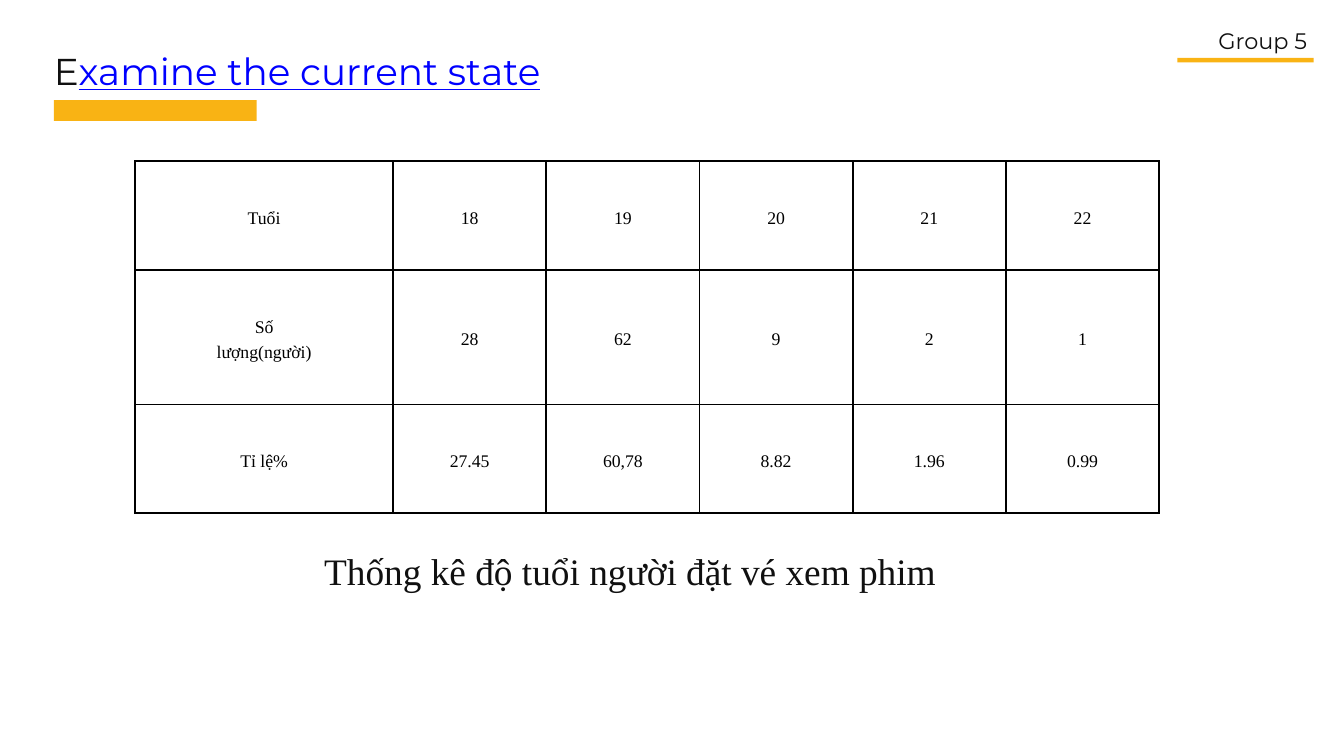
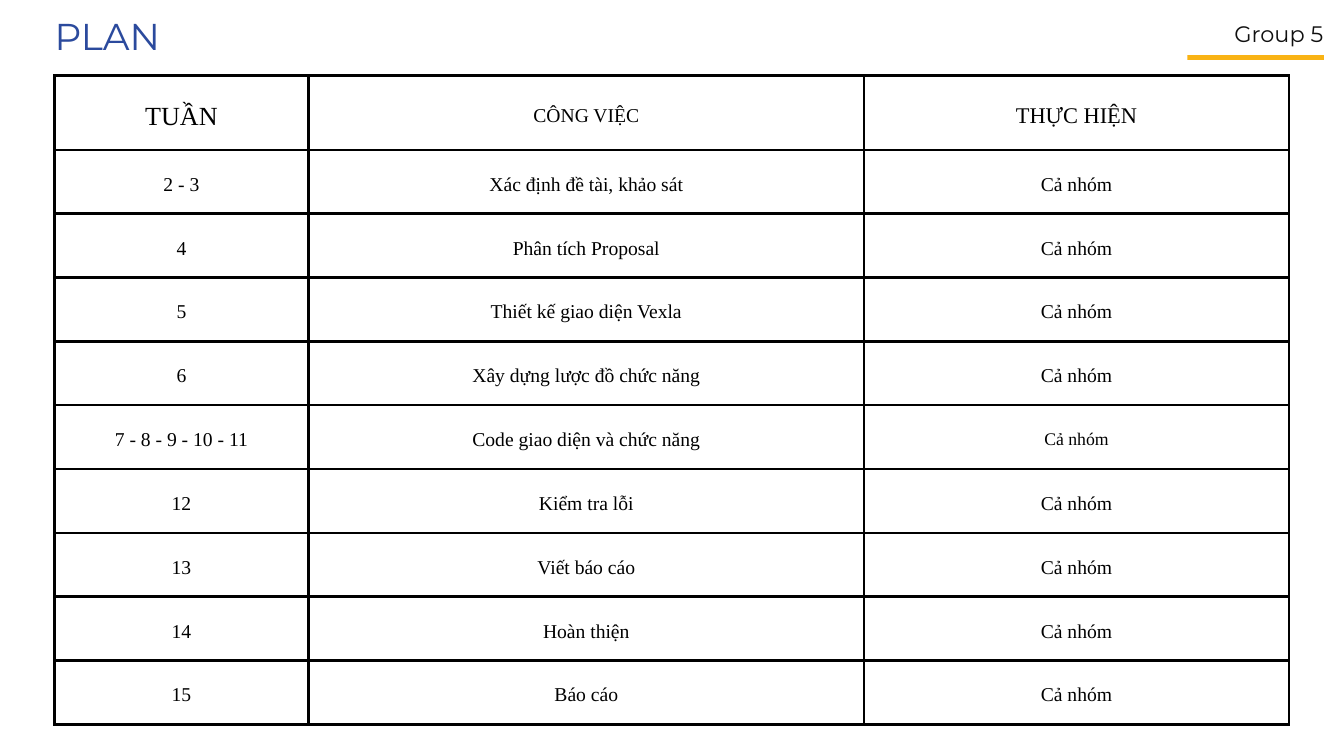
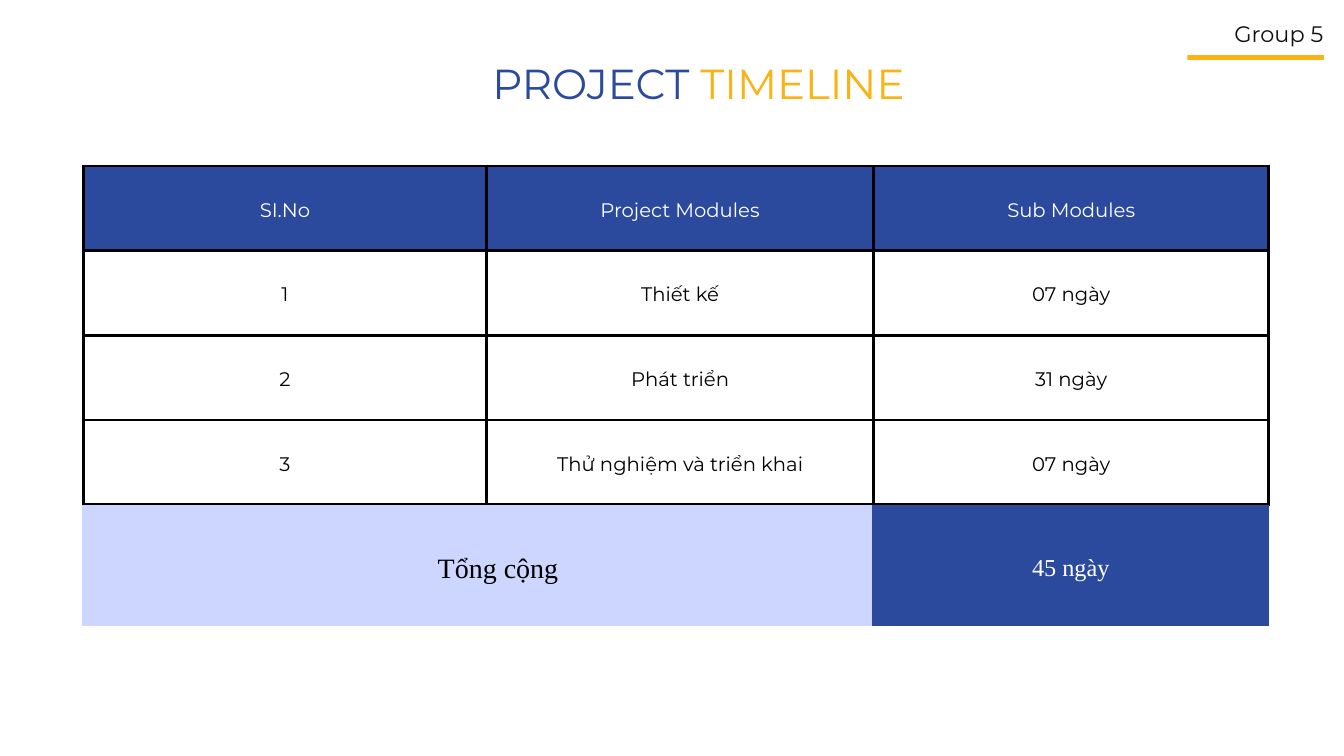
"""Build three slides on a ticket survey, the work plan and the timeline."""
from lxml import etree
from pptx import Presentation
from pptx.dml.color import RGBColor
from pptx.enum.shapes import MSO_SHAPE
from pptx.enum.text import MSO_ANCHOR, PP_ALIGN
from pptx.oxml.ns import qn
from pptx.util import Inches, Pt

RECT = MSO_SHAPE.RECTANGLE
MID = MSO_ANCHOR.MIDDLE
LEFT, RIGHT = PP_ALIGN.LEFT, PP_ALIGN.RIGHT
MIDST, EVEN = PP_ALIGN.CENTER, PP_ALIGN.JUSTIFY
SANS, SERIF = "Montserrat", "Times New Roman"
GOLD, BLUE, PALE, LINK = "F9B314", "2B4A9D", "CDD6FF", "0000FF"
INK, BLACK, WHITE = "101010", "000000", "FFFFFF"
hue = RGBColor.from_string

deck = Presentation()
deck.slide_width, deck.slide_height = Inches(20), Inches(11.25)
unit = deck.slide_width // 20


def write(frame, text, font=SANS, size=21, color=INK, align=LEFT, line=None, join=False):
    for i, part in enumerate(text.split("\n")):
        para = frame.add_paragraph() if i else frame.paragraphs[-1]
        run = para.add_run()
        run.text = part
        run.font.name, run.font.size = font, Pt(size)
        run.font.color.rgb = hue(color)
        run.font.underline = line
        if not join:
            para.alignment = align
            para.line_spacing = Pt(round(size * 1.4, 1))


def grid(page, x, y, cols, rows, data, font=SERIF, size=21, edge=BLACK, width=3, odd={}):
    spot = [int(n * unit) for n in (x, y, sum(cols), sum(rows))]
    table = page.shapes.add_table(len(rows), len(cols), *spot).table
    table.first_row = table.horz_banding = False
    for col, wide in zip(table.columns, cols):
        col.width = int(wide * unit)
    for r, (row, tall) in enumerate(zip(table.rows, rows)):
        row.height = int(tall * unit)
        for c, text in enumerate(data[r]):
            look = {"font": font, "size": size, "color": BLACK, "align": MIDST}
            look.update(odd.get((r, c), {}))
            fill, rim = look.pop("fill", None), look.pop("edge", edge)
            cell = table.cell(r, c)
            cell.vertical_anchor = MID
            cell.margin_left = cell.margin_right = int(0.21 * unit)
            cell.margin_top = cell.margin_bottom = int(0.21 * unit)
            props = cell._tc.get_or_add_tcPr()
            for side in "LRTB":
                ln = etree.SubElement(props, qn(f"a:ln{side}"), w=str(Pt(width)))
                paint = etree.SubElement(ln, qn("a:solidFill"))
                etree.SubElement(paint, qn("a:srgbClr"), val=rim)
            if fill:
                cell.fill.solid()
                cell.fill.fore_color.rgb = hue(fill)
            else:
                cell.fill.background()
            if text:
                write(cell.text_frame, text, **look)


state, plan, time = pages = [deck.slides.add_slide(deck.slide_layouts[6]) for _ in range(3)]

bars = [(state, 17.52, 0.86, 2.03, 0.07), (state, 0.8, 1.49, 3.02, 0.31)]
bars += [(page, 17.67, 0.82, 2.03, 0.07) for page in (plan, time)]
for page, *spot in bars:
    bar = page.shapes.add_shape(RECT, *[int(n * unit) for n in spot])
    bar.shadow.inherit = False
    bar.fill.solid()
    bar.fill.fore_color.rgb = hue(GOLD)
    bar.line.fill.background()

ages = [
    ["Tuổi", "18", "19", "20", "21", "22"],
    ["Số\nlượng(người)", "28", "62", "9", "2", "1"],
    ["Tỉ lệ%", "27.45", "60,78", "8.82", "1.96", "0.99"],
]
grid(state, 2.01, 2.4, [3.84] + [2.28] * 5, [1.62, 2, 1.62], ages, size=19, width=2.25)

tasks = [
    ("2 - 3", "Xác định đề tài, khảo sát"),
    ("4", "Phân tích Proposal"),
    ("5", "Thiết kế giao diện Vexla"),
    ("6", "Xây dựng lược đồ chức năng"),
    ("7 - 8 - 9 - 10 - 11", "Code giao diện và chức năng"),
    ("12", "Kiểm tra lỗi"),
    ("13", "Viết báo cáo"),
    ("14", "Hoàn thiện"),
    ("15", "Báo cáo"),
]
weeks = [("TUẦN", "CÔNG VIỆC", "THỰC HIỆN")]
weeks += [(week, task, "Cả nhóm") for week, task in tasks]
sizes = {(0, 0): {"size": 28}, (0, 2): {"size": 24}, (5, 2): {"size": 19}}
grid(plan, 0.81, 1.12, [3.78, 8.27, 6.32], [1.11] + [0.95] * 9, weeks, odd=sizes)

steps = [
    ("SI.No", "Project Modules", "Sub Modules"),
    ("1", "Thiết kế", "07 ngày"),
    ("2", "Phát triển", "31 ngày"),
    ("3", "Thử nghiệm và triển khai", "07 ngày"),
]
heads = {(0, c): {"fill": BLUE, "color": WHITE} for c in range(3)}
grid(time, 1.24, 2.47, [6, 5.76, 5.88], [1.26] * 4, steps, font=SANS, odd=heads)

sums = {
    (0, 0): {"fill": PALE},
    (0, 1): {"fill": PALE, "size": 30},
    (0, 2): {"fill": BLUE, "edge": BLUE, "size": 26, "color": WHITE},
}
total = [("", "Tổng cộng", "45 ngày")]
grid(time, 1.24, 7.53, [0.58, 11.18, 5.87], [1.76], total, edge=PALE, odd=sums)

group = [("Group 5", {"size": 24})]
title = [
    ("E", {"size": 40, "align": EVEN}),
    ("xamine the current state", {"size": 40, "color": LINK, "line": True, "join": True}),
]
note = [("Thống kê độ tuổi người đặt vé xem phim", {"font": SERIF, "size": 40, "align": MIDST})]
name = [("PLAN", {"size": 40, "color": BLUE, "align": RIGHT})]
head = [
    ("PROJECT ", {"size": 44.9, "color": BLUE, "align": RIGHT}),
    ("TIMELINE", {"size": 44.9, "color": GOLD, "join": True}),
]
labels = [
    (state, 18.13, 0.34, 1.6, 0.44, group),
    (state, 0.8, 0.61, 8.58, 0.74, title),
    (state, 4.74, 8.04, 9.27, 0.73, note),
    (plan, 0.38, 0.08, 2, 0.74, name),
    (plan, 18.37, 0.24, 1.6, 0.44, group),
    (time, 18.37, 0.24, 1.6, 0.44, group),
    (time, 6.54, 0.73, 6.92, 0.83, head),
]
for page, *spot, parts in labels:
    frame = page.shapes.add_textbox(*[int(n * unit) for n in spot]).text_frame
    frame.word_wrap = True
    frame.margin_left = frame.margin_right = frame.margin_top = frame.margin_bottom = 0
    for text, look in parts:
        write(frame, text, **look)

deck.save("out.pptx")
